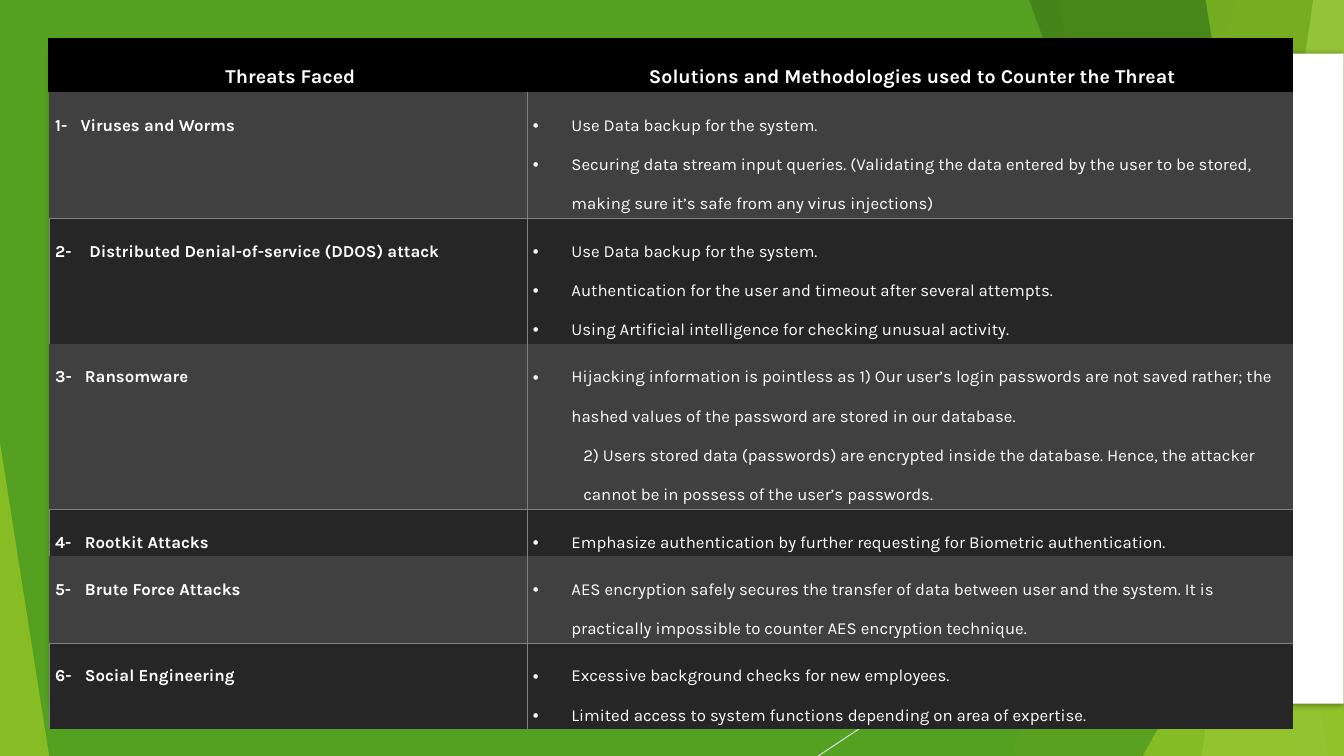
"""Build a slide with a table of security threats and their countermeasures."""
from lxml import etree
from pptx import Presentation
from pptx.dml.color import RGBColor
from pptx.enum.shapes import MSO_CONNECTOR, MSO_SHAPE
from pptx.enum.text import MSO_ANCHOR, PP_ALIGN
from pptx.oxml.ns import qn
from pptx.util import Cm, Pt

RECTANGLE, TRIANGLE = MSO_SHAPE.RECTANGLE, MSO_SHAPE.ISOSCELES_TRIANGLE
STRAIGHT = MSO_CONNECTOR.STRAIGHT
TOP, MIDDLE = MSO_ANCHOR.TOP, MSO_ANCHOR.MIDDLE
LEFT, CENTER = PP_ALIGN.LEFT, PP_ALIGN.CENTER

BLACK = RGBColor(0x00, 0x00, 0x00)
WHITE = RGBColor(0xFF, 0xFF, 0xFF)
CHARCOAL = RGBColor(0x26, 0x26, 0x26)
DARK_GREY = RGBColor(0x40, 0x40, 0x40)
RULE_GREY = RGBColor(0x80, 0x80, 0x80)
PALE_GREY = RGBColor(0xD9, 0xD9, 0xD9)
GREEN = RGBColor(0x54, 0xA0, 0x21)
LIME = RGBColor(0x90, 0xC2, 0x26)
FOREST = RGBColor(0x3F, 0x78, 0x19)
PALE_LIME = RGBColor(0xC0, 0xE4, 0x74)

WIDTH, HEIGHT = 33.87, 19.05
COLUMN_WIDTHS = (12.04, 19.3)
ROW_HEIGHTS = (1.17, 3.07, 3.07, 4.09, 1.17, 2.08, 2.08)
CELL_FORMAT = {"margin_left": Cm(0.15), "margin_top": Cm(0.1),
               "margin_right": Cm(0.03), "margin_bottom": Cm(0.1)}
BULLET_INDENT, PLAIN_INDENT = 0.97, 1.27

HEADINGS = ("Threats Faced", "Solutions and Methodologies used to Counter the Threat")
THREATS = (
    ("1-\tViruses and Worms", 0.64, (
        "Use Data backup for the system.",
        "Securing data stream input queries. (Validating the data entered by the user "
        "to be stored, making sure it’s safe from any virus injections)")),
    ("2-\tDistributed Denial-of-service (DDOS) attack", 0.86, (
        "Use Data backup for the system.",
        "Authentication for the user and timeout after several attempts.",
        "Using Artificial intelligence for checking unusual activity.")),
    ("3-\tRansomware", 0.75, (
        "Hijacking information is pointless as 1) Our user’s login passwords are not "
        "saved rather; the hashed values of the password are stored in our database.",
        "2) Users stored data (passwords) are encrypted inside the database. Hence, "
        "the attacker cannot be in possess of the user’s passwords.")),
    ("4-\tRootkit Attacks", 0.75, (
        "Emphasize authentication by further requesting for Biometric authentication.",)),
    ("5-\tBrute Force Attacks", 0.75, (
        "AES encryption safely secures the transfer of data between user and the system. "
        "It is practically impossible to counter AES encryption technique.",)),
    ("6-\tSocial Engineering", 0.75, (
        "Excessive background checks for new employees.",
        "Limited access to system functions depending on area of expertise.")),
)


def add_xml(parent, tag, **attributes):
    """Append a child element and return it."""
    values = {name: str(value) for name, value in attributes.items()}
    return etree.SubElement(parent, qn(tag), values)


def apply_format(target, values):
    """Set each attribute of the target from a dict."""
    for name, value in values.items():
        setattr(target, name, value)


class SlideBuilder:
    """Hold the type style and the current slide."""

    def __init__(self, slide, font_name):
        self.shapes = slide.shapes
        self.font_name = font_name

    def paint(self, shape, color, opacity=100):
        """Give a shape a plain fill with no line or shadow."""
        shape.shadow.inherit = False
        shape.fill.solid()
        shape.fill.fore_color.rgb = color
        shape.line.fill.background()
        if opacity < 100:
            srgb = shape.fill._xPr.find(qn("a:solidFill"))[0]
            add_xml(srgb, "a:alpha", val=opacity * 1000)

    def shape(self, kind, box, color, opacity=100):
        """Add a filled preset shape."""
        shape = self.shapes.add_shape(kind, *map(Cm, box))
        self.paint(shape, color, opacity)
        return shape

    def triangle(self, box, apex, color, opacity):
        """Add a right-angled triangle with its apex at one side."""
        self.shape(TRIANGLE, box, color, opacity).adjustments[0] = apex

    def facet(self, top_x, bottom_x, color, opacity):
        """Add a translucent facet reaching the right edge of the slide."""
        outline = self.shapes.build_freeform(Cm(top_x), Cm(-0.02), scale=1.0)
        corners = ((WIDTH, -0.02), (WIDTH, HEIGHT), (bottom_x, HEIGHT))
        outline.add_line_segments([(Cm(x), Cm(y)) for x, y in corners], close=True)
        self.paint(outline.convert_to_shape(), color, opacity)

    def line(self, ends, color, width):
        """Add a straight line."""
        line = self.shapes.add_connector(STRAIGHT, *map(Cm, ends))
        apply_format(line.line, {"width": Pt(width)})
        line.line.color.rgb = color
        add_xml(line._element.spPr, "a:effectLst")

    def shadowed_panel(self, box):
        """Add a white panel with a soft shadow."""
        panel = self.shape(RECTANGLE, box, WHITE)
        effects = panel._element.spPr.find(qn("a:effectLst"))
        shadow = add_xml(effects, "a:outerShdw", blurRad=Pt(5), dist=Pt(1.4), dir=5400000)
        add_xml(add_xml(shadow, "a:srgbClr", val=BLACK), "a:alpha", val=43000)

    def table(self, left, top):
        """Add an empty table with the column and row sizes."""
        frame = self.shapes.add_table(
            len(ROW_HEIGHTS), len(COLUMN_WIDTHS), Cm(left), Cm(top),
            Cm(sum(COLUMN_WIDTHS)), Cm(sum(ROW_HEIGHTS)))
        table = frame.table
        apply_format(table, {"first_row": False, "horz_banding": False})
        for column, width in zip(table.columns, COLUMN_WIDTHS):
            column.width = Cm(width)
        for row, height in zip(table.rows, ROW_HEIGHTS):
            row.height = Cm(height)
        return table

    def cell(self, cell, fill, sides, rule=RULE_GREY, width=0.5, anchor=TOP):
        """Format a cell and rule the given sides."""
        apply_format(cell, {**CELL_FORMAT, "vertical_anchor": anchor})
        cell.fill.solid()
        cell.fill.fore_color.rgb = fill
        properties = cell._tc.get_or_add_tcPr()
        for position, side in enumerate("LRTB"):
            border = add_xml(properties, f"a:ln{side}", w=Pt(width))
            if side in sides:
                add_xml(add_xml(border, "a:solidFill"), "a:srgbClr", val=rule)
            else:
                add_xml(border, "a:noFill")
            properties.insert(position, border)

    def paragraph(self, cell, text, size=12, bold=False, align=LEFT, tab=None,
                  indent=None, bullet=False):
        """Write a paragraph in a cell, after any that it holds."""
        frame = cell.text_frame
        paragraph = frame.add_paragraph() if frame.text else frame.paragraphs[0]
        paragraph.text = text
        properties = paragraph._p.get_or_add_pPr()
        if indent:
            properties.set("marL", str(Cm(indent)))
            properties.set("indent", str(-Cm(indent) if bullet else 0))
        if bullet:
            add_xml(properties, "a:buFont", typeface="Arial")
            add_xml(properties, "a:buChar", char="•")
        if tab:
            add_xml(add_xml(properties, "a:tabLst"), "a:tab", pos=Cm(tab), algn="l")
        apply_format(paragraph, {"alignment": align, "line_spacing": 2.0})
        font = paragraph.runs[0].font
        apply_format(font, {"name": self.font_name, "size": Pt(size), "bold": bold})
        font.color.rgb = WHITE


def main():
    """Draw the green backdrop and the threat table."""
    deck = Presentation()
    apply_format(deck, {"slide_width": Cm(WIDTH), "slide_height": Cm(HEIGHT)})
    builder = SlideBuilder(deck.slides.add_slide(deck.slide_layouts[6]), "Karla")

    builder.shape(RECTANGLE, (0, 0, WIDTH, HEIGHT), GREEN)
    builder.line((WIDTH, 10.24, 20.62, HEIGHT), PALE_GREY, 0.75)
    builder.facet(31.19, 25.5, LIME, 30)
    builder.facet(26.67, 30.05, LIME, 20)
    builder.triangle((24.82, 8.46, 9.05, 10.59), 1, GREEN, 72)
    builder.facet(25.93, 32.79, FOREST, 70)
    builder.facet(33.1, 30.28, PALE_LIME, 70)
    builder.facet(30.38, 33.48, LIME, 65)
    builder.triangle((28.8, 9.98, 5.07, 9.07), 1, LIME, 80)
    builder.triangle((0, 11.15, 1.24, 7.9), 0, LIME, 85)
    builder.shadowed_panel((1.32, 1.35, 32.54, 16.38))

    table = builder.table(1.24, 0.97)
    for column, (heading, sides) in enumerate(zip(HEADINGS, ("LT", "T"))):
        cell = table.cell(0, column)
        builder.cell(cell, BLACK, sides, BLACK, 1.5, MIDDLE)
        builder.paragraph(cell, heading, 14, True, CENTER)
    for row, (threat, tab, solutions) in enumerate(THREATS, 1):
        fill, threat_sides, solution_sides = (
            (DARK_GREY, "RB", "LB") if row % 2 else (CHARCOAL, "LRT", "LT"))
        threat_cell, solution_cell = table.cell(row, 0), table.cell(row, 1)
        builder.cell(threat_cell, fill, threat_sides)
        builder.paragraph(threat_cell, threat, bold=True, tab=tab)
        builder.cell(solution_cell, fill, solution_sides)
        for solution in solutions:
            bullet = not solution.startswith("2)")
            indent = BULLET_INDENT if bullet else PLAIN_INDENT
            builder.paragraph(solution_cell, solution, indent=indent, bullet=bullet)

    deck.save("out.pptx")


if __name__ == "__main__":
    main()
